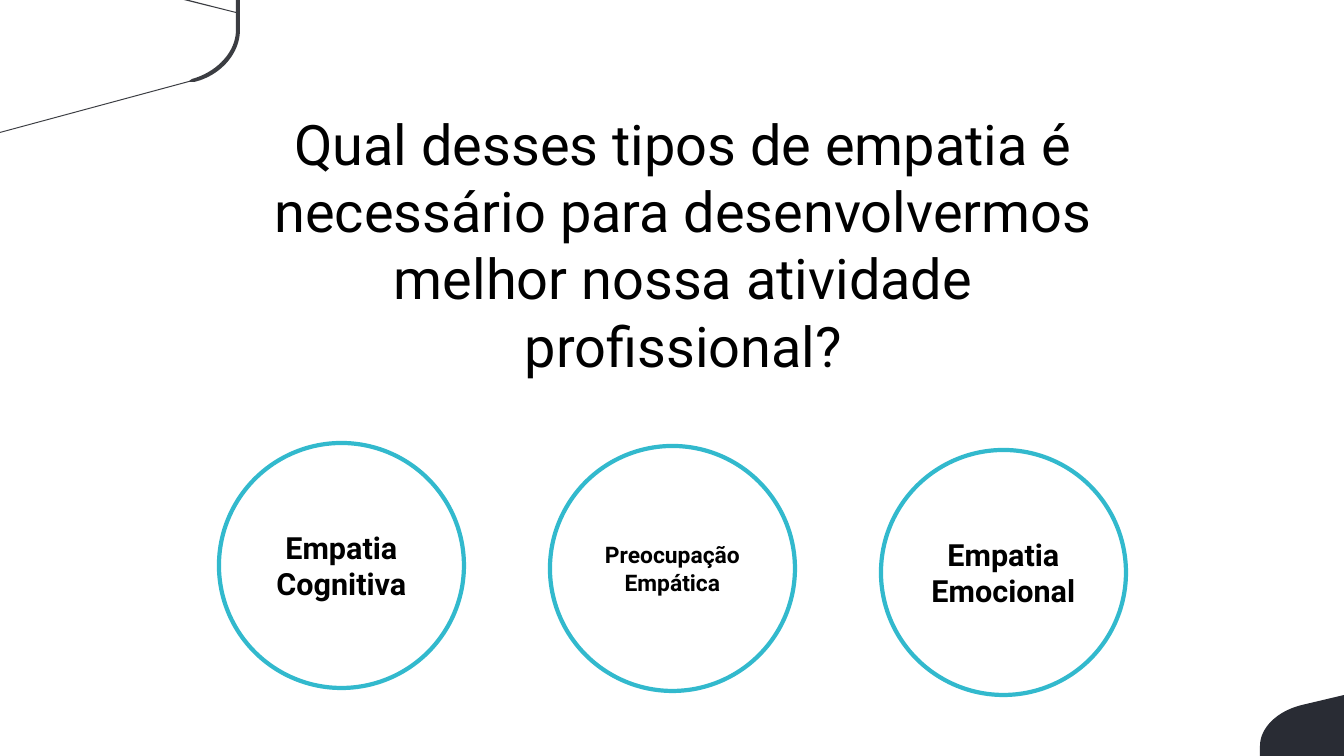
from pptx import Presentation
from pptx.dml.color import RGBColor
from pptx.enum.shapes import MSO_SHAPE
from pptx.enum.text import MSO_ANCHOR, MSO_AUTO_SIZE, PP_ALIGN
from pptx.util import Pt

CENTER = PP_ALIGN.CENTER
TOP, MIDDLE = MSO_ANCHOR.TOP, MSO_ANCHOR.MIDDLE
GROW, FIXED = MSO_AUTO_SIZE.SHAPE_TO_FIT_TEXT, MSO_AUTO_SIZE.NONE
OVAL = MSO_SHAPE.OVAL

SCALE = 914400 / 100.8
PAGE_SIZE = (1344, 756)
FONT = "Roboto"
COLORS = {"text": "000000", "ring": "32B9CD", "blob": "292C34", "corner": "3B3D42"}

QUESTION = ("Qual desses tipos de empatia é necessário para desenvolvermos "
            "melhor nossa atividade profissional?")
QUESTION_AREA = (262, 105, 843, 281)
QUESTION_SIZE = 39.9

CIRCLES = [
    ("Empatia Cognitiva", 443, 21.8),
    ("Preocupação Empática", 446, 16.3),
    ("Empatia Emocional", 450, 21.8),
]
CIRCLE_LEFT, CIRCLE_STEP, CIRCLE_SIZE = 219, 331, 245
RING_WIDTH = 3
CURVE_STEPS = 24


def emu(pixels):
    return round(pixels * SCALE)


def color(name):
    return RGBColor.from_string(COLORS[name])


def curve(start, first, second, end):
    points = []
    for step in range(CURVE_STEPS + 1):
        t = step / CURVE_STEPS
        weights = ((1 - t) ** 3, 3 * t * (1 - t) ** 2, 3 * t * t * (1 - t), t ** 3)
        corners = (start, first, second, end)
        points.append(tuple(sum(w * p[axis] for w, p in zip(weights, corners))
                            for axis in (0, 1)))
    return points


OUTLINES = {
    "blob": [
        (1344, 695),
        *curve((1302, 705), (1277, 711), (1260, 728), (1260, 746)),
        (1260, 756), (1344, 756),
    ],
    "corner": [
        (0, 133), (189, 82),
        *curve((194, 82), (220, 76), (240, 54), (240, 30)),
        (240, 0), (236, 0), (236, 12), (189, 0), (184, 0), (236, 13),
        *curve((236, 30), (236, 52), (217, 72), (192, 79)),
        (189, 81), (0, 132),
    ],
}


def add_outline(page, name, points):
    detailed = [(emu(x), emu(y)) for x, y in points]
    builder = page.shapes.build_freeform(*detailed[0], scale=1.0)
    builder.add_line_segments(detailed[1:], close=True)
    shape = builder.convert_to_shape()
    shape.shadow.inherit = False
    shape.fill.solid()
    shape.fill.fore_color.rgb = color(name)
    shape.line.fill.background()


def write_text(box, text, size, bold, anchor, auto_size):
    frame = box.text_frame
    frame_format = {"word_wrap": True, "vertical_anchor": anchor, "auto_size": auto_size}
    for key, value in frame_format.items():
        setattr(frame, key, value)
    para = frame.paragraphs[0]
    para.alignment = CENTER
    span = para.add_run()
    span.text = text
    for key, value in {"name": FONT, "size": Pt(size), "bold": bold}.items():
        setattr(span.font, key, value)
    span.font.color.rgb = color("text")


deck = Presentation()
deck.slide_width, deck.slide_height = map(emu, PAGE_SIZE)
page = deck.slides.add_slide(deck.slide_layouts[6])

for name, points in OUTLINES.items():
    add_outline(page, name, points)

question_box = page.shapes.add_textbox(*map(emu, QUESTION_AREA))
write_text(question_box, QUESTION, QUESTION_SIZE, False, TOP, GROW)

for index, (label, top, size) in enumerate(CIRCLES):
    area = (CIRCLE_LEFT + index * CIRCLE_STEP, top, CIRCLE_SIZE, CIRCLE_SIZE)
    circle = page.shapes.add_shape(OVAL, *map(emu, area))
    circle.shadow.inherit = False
    circle.fill.background()
    circle.line.color.rgb = color("ring")
    circle.line.width = Pt(RING_WIDTH)
    write_text(circle, label, size, True, MIDDLE, FIXED)

deck.save("out.pptx")
